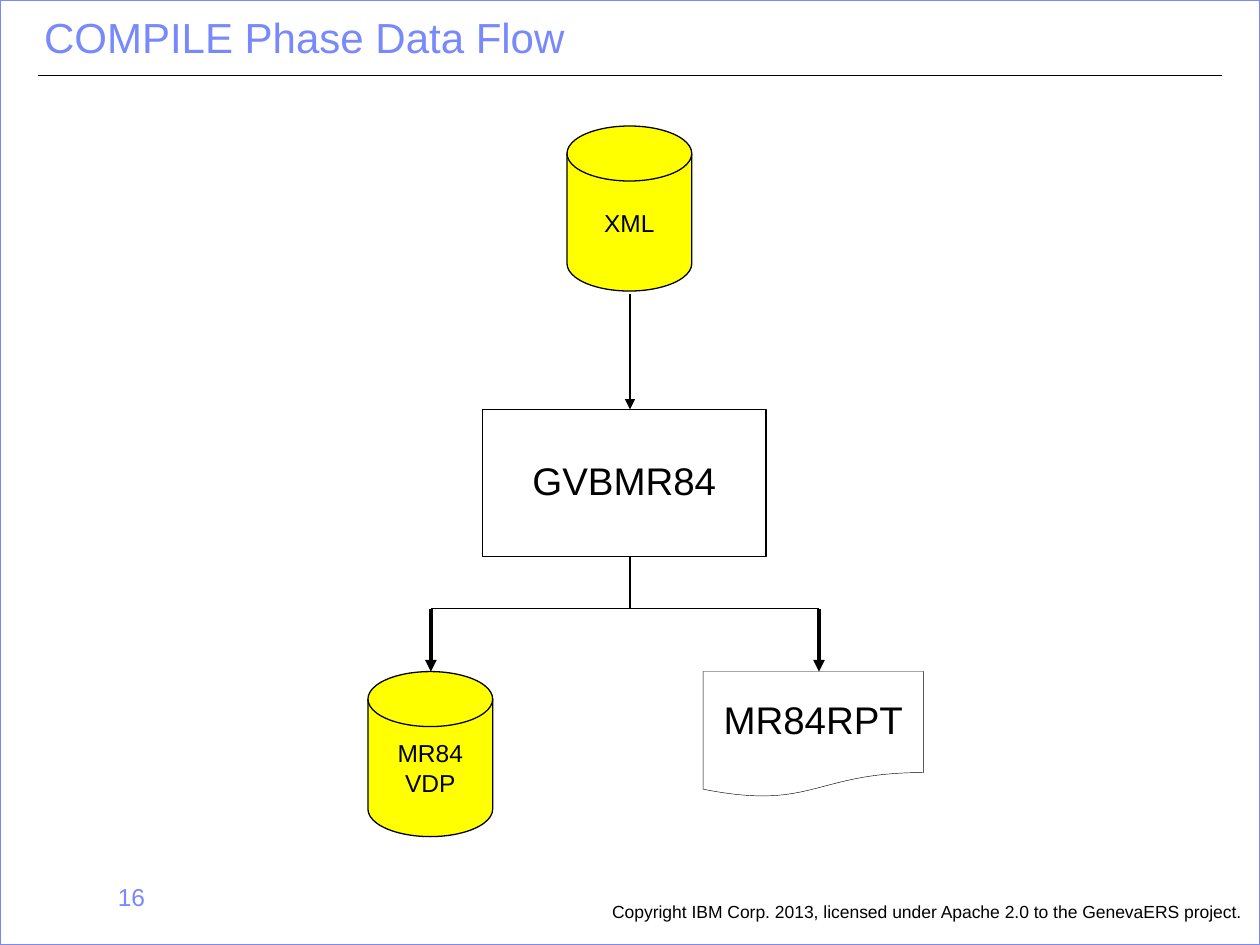
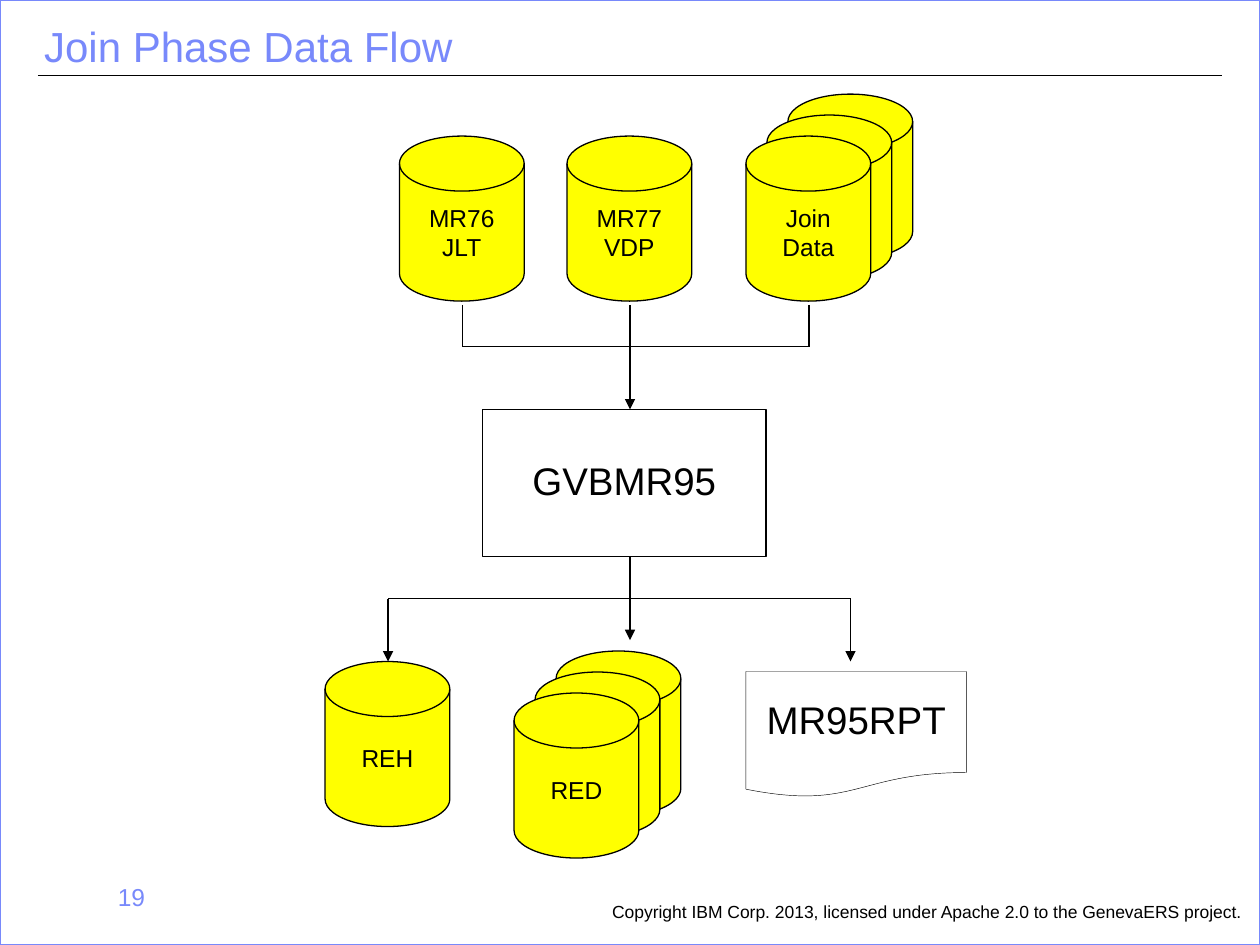
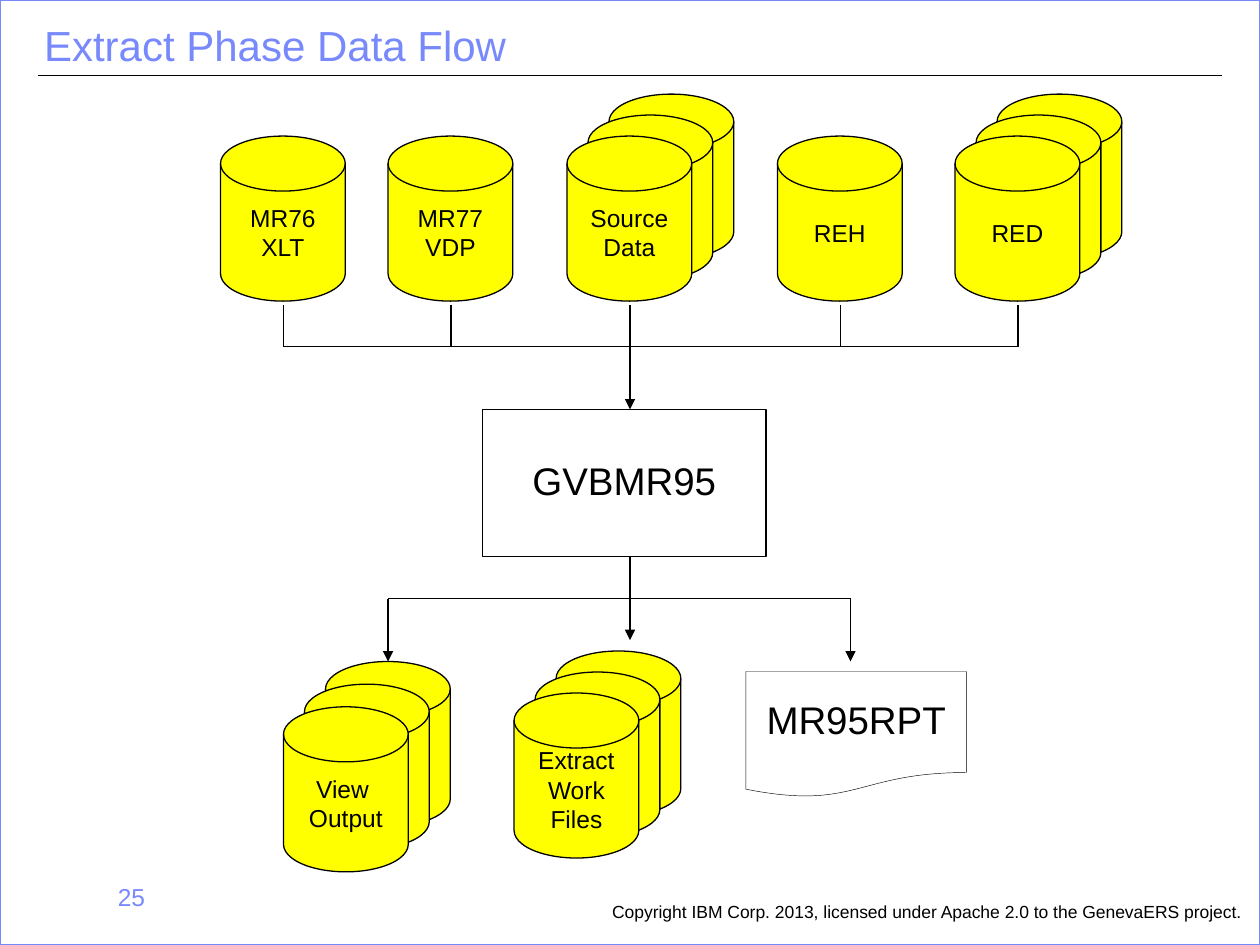
from lxml import etree
from pptx import Presentation
from pptx.dml.color import RGBColor
from pptx.enum.shapes import MSO_CONNECTOR, MSO_SHAPE
from pptx.enum.text import MSO_ANCHOR, MSO_AUTO_SIZE, PP_ALIGN
from pptx.oxml.ns import qn
from pptx.util import Inches, Pt

STRAIGHT = MSO_CONNECTOR.STRAIGHT
RECT = MSO_SHAPE.RECTANGLE
DISK = MSO_SHAPE.FLOWCHART_MAGNETIC_DISK
DOCUMENT = MSO_SHAPE.FLOWCHART_DOCUMENT
LEFT, CENTER, RIGHT = PP_ALIGN.LEFT, PP_ALIGN.CENTER, PP_ALIGN.RIGHT
MIDDLE, BOTTOM = MSO_ANCHOR.MIDDLE, MSO_ANCHOR.BOTTOM
NO_FIT, GROW = MSO_AUTO_SIZE.NONE, MSO_AUTO_SIZE.SHAPE_TO_FIT_TEXT

FONT = "Arial"
COLORS = {"accent": "7889FB", "ink": "000000", "data": "FFFF00"}
COPYRIGHT = ("Copyright IBM Corp. 2013, licensed under Apache 2.0 "
             "to the GenevaERS project.")

SLIDE_W, SLIDE_H = 10, 7.5
DISK_W, DISK_H = 0.99, 1.31
STACK_STEP = 1 / 6
MID_X = 5
PROCESS_BOX = (3.83, 3.25, 2.25, 1.17)
PROCESS_TOP = PROCESS_BOX[1]
PROCESS_BOTTOM = PROCESS_TOP + PROCESS_BOX[3]
REPORT_Y = 5.33


def rgb(name):
    return RGBColor.from_string(COLORS[name])


def set_text(tf, text, size, color="ink", align=LEFT, spacing=0.9):
    tf.text = text
    for p in tf.paragraphs:
        p.alignment = align
        p.line_spacing = spacing
        p.space_before = Pt(0)
        p.font.name = FONT
        p.font.size = Pt(size)
        p.font.color.rgb = rgb(color)


def add_line(s, x1, y1, x2, y2, weight=0.75, arrow=False):
    line = s.shapes.add_connector(
        STRAIGHT, Inches(x1), Inches(y1), Inches(x2), Inches(y2))
    line.line.color.rgb = rgb("ink")
    line.line.width = Pt(weight)
    if arrow:
        ln = line.line._get_or_add_ln()
        etree.SubElement(ln, qn("a:tailEnd"), type="triangle")
    etree.SubElement(line._element.spPr, qn("a:effectLst"))


def add_box(s, kind, box, fill=None, line="ink", weight=0.75):
    sp = s.shapes.add_shape(kind, *map(Inches, box))
    sp.shadow.inherit = False
    if fill:
        sp.fill.solid()
        sp.fill.fore_color.rgb = rgb(fill)
    else:
        sp.fill.background()
    sp.line.color.rgb = rgb(line)
    sp.line.width = Pt(weight)
    return sp


def add_label(sp, text, size, spacing):
    tf = sp.text_frame
    tf.word_wrap = False
    tf.vertical_anchor = MIDDLE
    set_text(tf, text, size, align=CENTER, spacing=spacing)


def add_disk(s, x, y, text=""):
    sp = add_box(s, DISK, (x, y, DISK_W, DISK_H), fill="data")
    if text:
        add_label(sp, text, 14, 1.0)


def add_stack(s, x, y, text, drop=STACK_STEP):
    """Three disks receding to the upper right; (x, y) is the front one."""
    for depth in (2, 1):
        add_disk(s, x + depth * STACK_STEP, y - depth * drop)
    add_disk(s, x, y, text)


def add_process(s, text):
    add_label(add_box(s, RECT, PROCESS_BOX), text, 22, 0.9)


def add_report(s, x, text):
    sp = add_box(s, DOCUMENT, (x, REPORT_Y, 1.75, 1), weight=0.25)
    add_label(sp, text, 22, 0.9)


def add_inputs(s, inputs, y=1.08, bus_y=2.75):
    """Draw a row of (x, label, draw) inputs feeding the process box."""
    centers = [x + 0.5 for x, _, _ in inputs]
    for x, text, draw in inputs:
        draw(s, x, y, text)
    for x in centers:
        add_line(s, x, 2.42, x, bus_y)
    add_line(s, centers[0], bus_y, centers[-1], bus_y)
    add_line(s, MID_X, bus_y, MID_X, PROCESS_TOP, arrow=True)


def add_branches(s, left, right, bus_y, stem_end, weight=0.75):
    """Split the flow below the process box into two outer arrows."""
    add_line(s, MID_X, PROCESS_BOTTOM, MID_X, stem_end, arrow=stem_end > bus_y)
    add_line(s, left, bus_y, right, bus_y)
    for x in (left, right):
        add_line(s, x, bus_y, x, bus_y + 0.5, weight, arrow=True)


def add_frame(s, number):
    add_box(s, RECT, (0, 0, SLIDE_W, SLIDE_H), line="accent", weight=1)
    add_line(s, 0.3, 0.6, 9.7, 0.6)
    page = s.shapes.add_textbox(
        Inches(0.25), Inches(6.98), Inches(1), Inches(0.52))
    page.text_frame.word_wrap = True
    set_text(page.text_frame, str(number), 14, "accent", RIGHT)
    footer = s.shapes.add_textbox(
        Inches(4.76), Inches(7.12), Inches(5.24), Inches(0.25))
    footer.text_frame.word_wrap = False
    footer.text_frame.auto_size = GROW
    set_text(footer.text_frame, COPYRIGHT, 10)


def new_slide(prs, number, title, title_top):
    s = prs.slides.add_slide(prs.slide_layouts[5])
    add_frame(s, number)
    sp = s.shapes.title
    sp.left, sp.top = Inches(0.25), Inches(title_top)
    sp.width, sp.height = Inches(7.83), Inches(0.55)
    tf = sp.text_frame
    tf.word_wrap = True
    tf.auto_size = NO_FIT
    tf.vertical_anchor = BOTTOM
    set_text(tf, title, 24, "accent")
    return s


def compile_slide(prs):
    s = new_slide(prs, 16, "COMPILE Phase Data Flow", 0)
    add_disk(s, 4.5, 1, "XML")
    add_line(s, MID_X, 2.33, MID_X, PROCESS_TOP, arrow=True)
    add_process(s, "GVBMR84")
    add_report(s, 5.58, "MR84RPT")
    add_disk(s, 2.92, 5.33, "MR84\nVDP")
    add_branches(s, 3.42, 6.5, bus_y=4.83, stem_end=4.83, weight=2.25)


def run_slide(prs, number, title, title_top, inputs, work_files):
    """Slide for a GVBMR95 run; returned so its first output can be added."""
    s = new_slide(prs, number, title, title_top)
    add_inputs(s, inputs)
    add_process(s, "GVBMR95")
    add_stack(s, 4.08, 5.5, work_files)
    add_report(s, 5.92, "MR95RPT")
    add_branches(s, 3.08, 6.75, bus_y=4.75, stem_end=5.08)
    return s


def join_slide(prs):
    inputs = [
        (3.17, "MR76\nJLT", add_disk),
        (4.5, "MR77\nVDP", add_disk),
        (5.92, "Join\nData", add_stack),
    ]
    s = run_slide(prs, 19, "Join Phase Data Flow", 0.07, inputs, "RED")
    add_disk(s, 2.58, 5.25, "REH")


def extract_slide(prs):
    inputs = [
        (1.75, "MR76\nXLT", add_disk),
        (3.08, "MR77\nVDP", add_disk),
        (4.5, "Source\nData", add_stack),
        (6.17, "REH", add_disk),
        (7.58, "RED", add_stack),
    ]
    s = run_slide(prs, 25, "Extract Phase Data Flow", 0.06, inputs,
                  "Extract\nWork\nFiles")
    add_stack(s, 2.25, 5.61, "View \nOutput", drop=0.18)


def main():
    prs = Presentation()
    prs.slide_width, prs.slide_height = Inches(SLIDE_W), Inches(SLIDE_H)
    compile_slide(prs)
    join_slide(prs)
    extract_slide(prs)
    prs.save("out.pptx")


if __name__ == "__main__":
    main()
